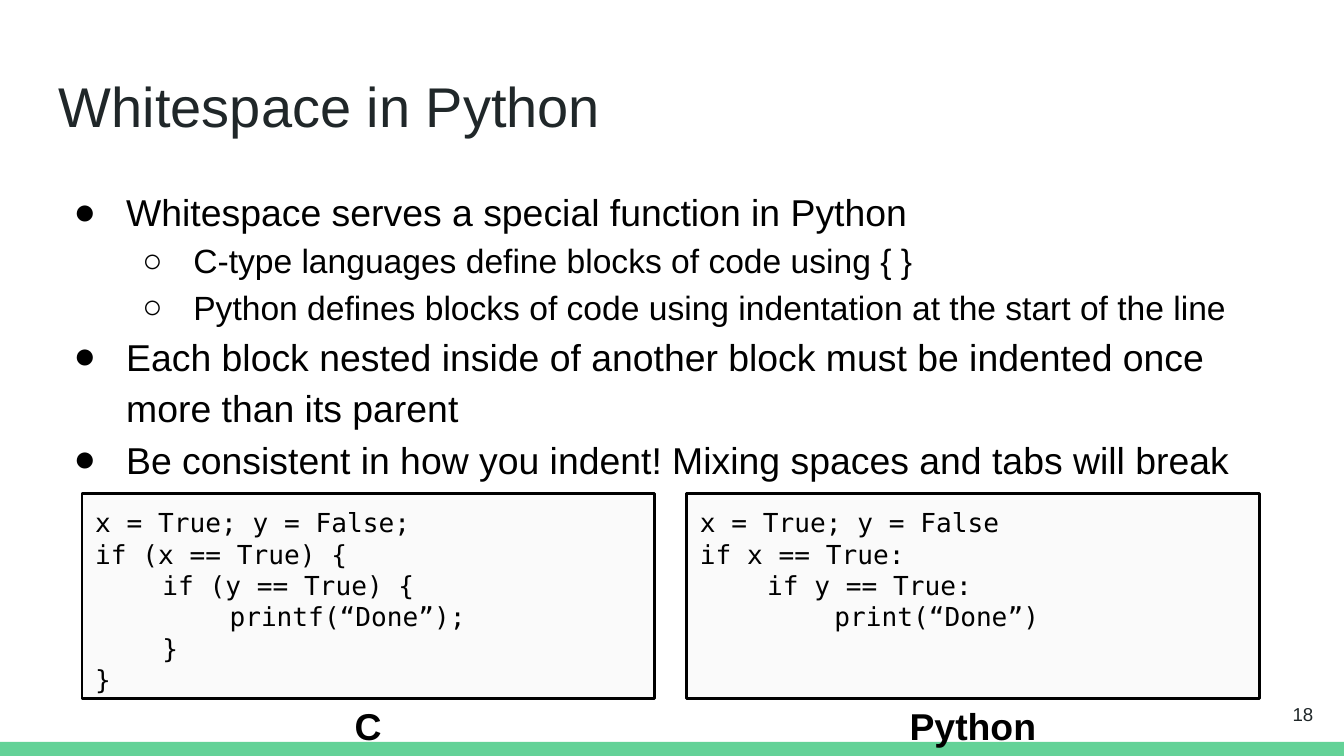
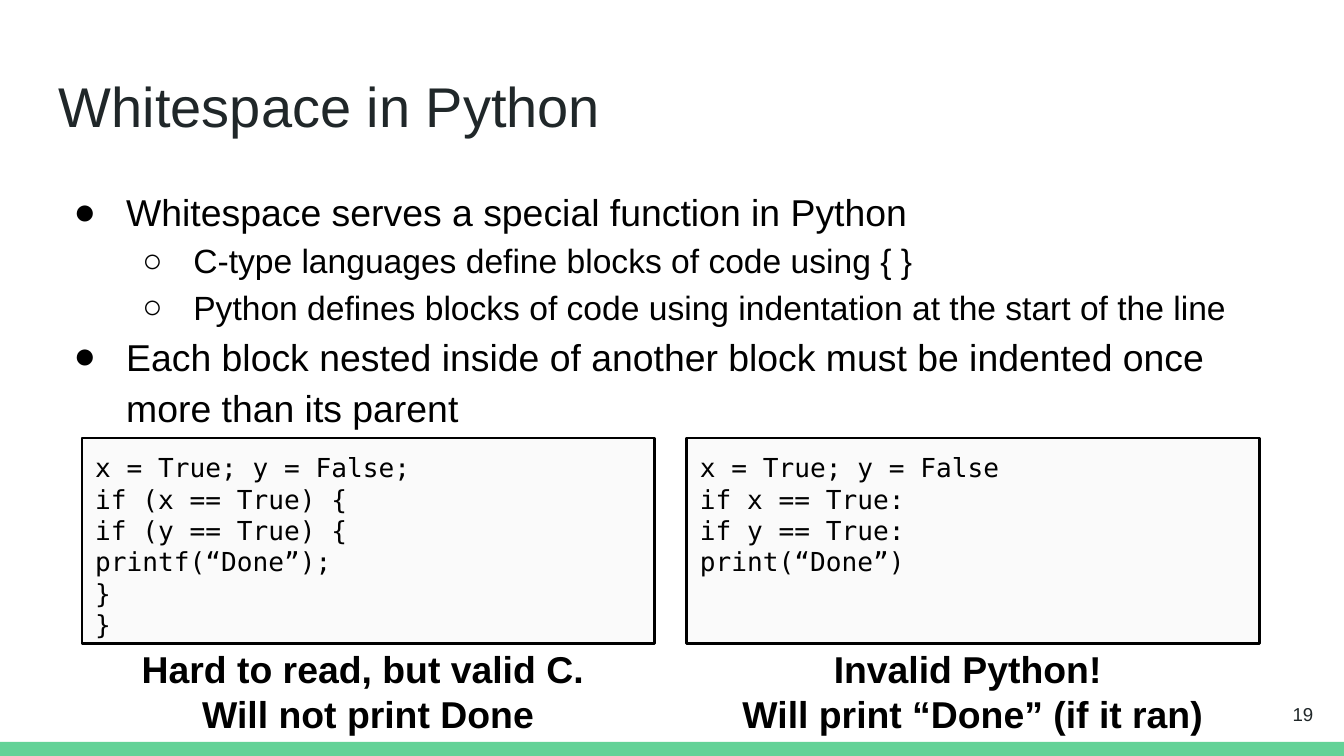
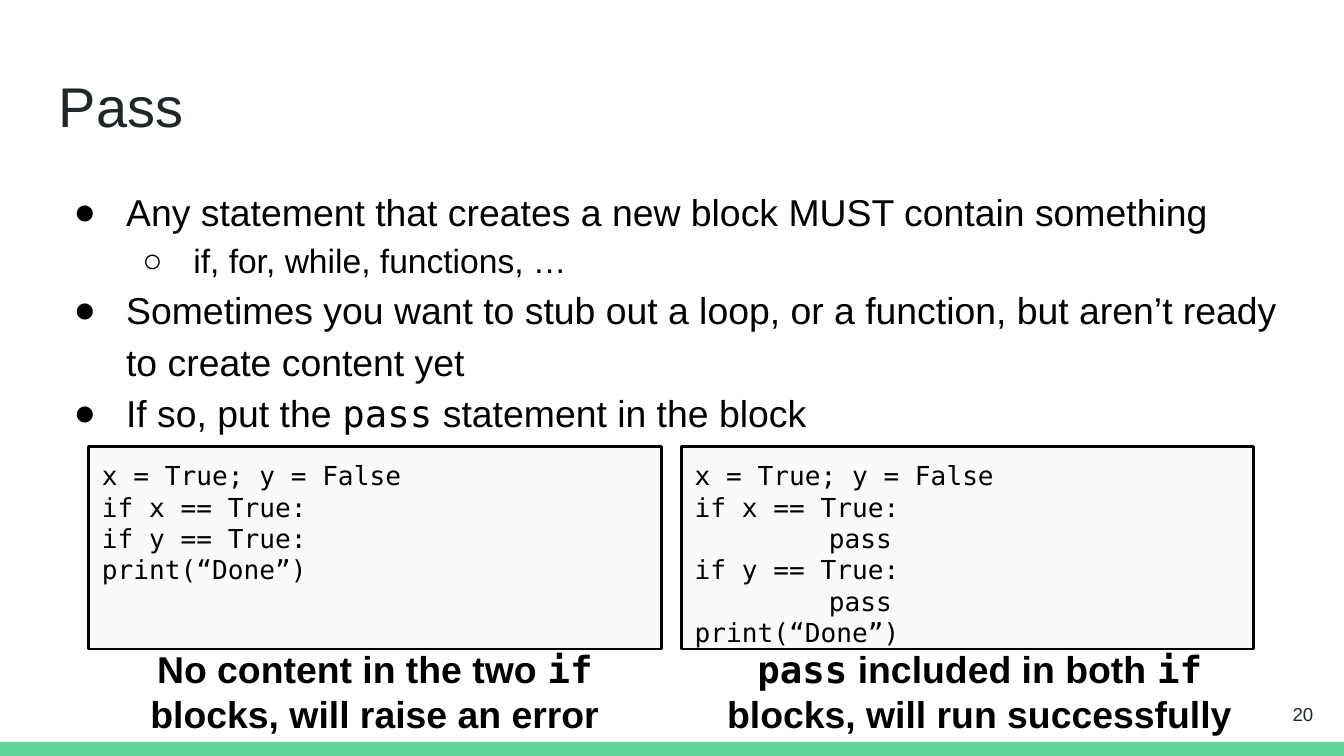
from lxml import etree
from pptx import Presentation
from pptx import util as u
from pptx.dml import color
from pptx.enum import shapes, text
from pptx.oxml import ns

SANS, MONO = "Arial", "DejaVu Sans Mono"
BLACK, TITLE_INK, GREEN, PANEL = "000000", "202729", "63D297", "FAFAFA"
LEFT, CENTER, RIGHT = text.PP_ALIGN.LEFT, text.PP_ALIGN.CENTER, text.PP_ALIGN.RIGHT
PANEL_WIDTH = 4.26


def add_box(page, left, top, width, height, fill=None, line=None):
    """Add a text box, or a rectangle when a fill is given, with even margins."""
    place = [u.Inches(length) for length in (left, top, width, height)]
    if fill:
        box = page.shapes.add_shape(shapes.MSO_SHAPE.RECTANGLE, *place)
        box.shadow.inherit = False
        box.fill.solid()
        box.fill.fore_color.rgb = color.RGBColor.from_string(fill)
        if line:
            box.line.color.rgb = color.RGBColor.from_string(line)
            box.line.width = u.Pt(1.5)
        else:
            box.line.fill.background()
    else:
        box = page.shapes.add_textbox(*place)
    frame = box.text_frame
    frame.word_wrap = True
    frame.vertical_anchor = text.MSO_ANCHOR.TOP
    frame.margin_left = frame.margin_right = u.Inches(0.1)
    frame.margin_top = frame.margin_bottom = u.Inches(0.1)
    return frame


def write(para, words, size, ink=BLACK, font=SANS, bold=False, align=LEFT):
    """Fill a paragraph; words between backticks are set in the code font."""
    para.alignment = align
    for index, piece in enumerate(words.split("`")):
        for number, line in enumerate(piece.split("\n")):
            if number:
                para.add_line_break()
            if line:
                span = para.add_run()
                span.text = line
                span.font.name = MONO if index % 2 else font
                span.font.size = u.Pt(size)
                span.font.bold = bold
                span.font.color.rgb = color.RGBColor.from_string(ink)


# Content: bullets are (level, text); panels are (left, code, label left, label)
whitespace_points = [
    (0, "Whitespace serves a special function in Python"),
    (1, "C-type languages define blocks of code using { }"),
    (1, "Python defines blocks of code using indentation at the start of the line"),
    (0, "Each block nested inside of another block must be indented once more than its parent"),
]
c_code = """x = True; y = False;
if (x == True) {
    if (y == True) {
        printf(“Done”);
    }
}"""
python_code = """x = True; y = False
if x == True:
    if y == True:
        print(“Done”)"""
pass_code = """x = True; y = False
if x == True:
        pass
if y == True:
        pass
print(“Done”)"""
flat_c = c_code.replace("    ", "")
flat_python = python_code.replace("    ", "")

slides = [
    dict(
        title="Whitespace in Python",
        points=whitespace_points
        + [(0, "Be consistent in how you indent! Mixing spaces and tabs will break")],
        panel_top=3.67, panel_height=1.53, label_top=5.13,
        panels=[(0.61, c_code, 0.61, "C"), (5.11, python_code, 5.11, "Python")],
    ),
    dict(
        title="Whitespace in Python",
        points=whitespace_points,
        panel_top=3.26, panel_height=1.53, label_top=4.71,
        panels=[
            (0.61, flat_c, 0.61, "Hard to read, but valid C. \nWill not print Done"),
            (5.11, flat_python, 5.11, "Invalid Python! \nWill print “Done” (if it ran)"),
        ],
    ),
    dict(
        title="Pass",
        points=[
            (0, "Any statement that creates a new block MUST contain something"),
            (1, "if, for, while, functions, …"),
            (0, "Sometimes you want to stub out a loop, or a function, "
                "but aren’t ready to create content yet"),
            (0, "If so, put the `pass` statement in the block"),
        ],
        panel_top=3.32, panel_height=1.51, label_top=4.71,
        panels=[
            (0.66, flat_python, 0.66, "No content in the two `if` blocks, will raise an error"),
            (5.07, pass_code, 5.16, "`pass` included in both `if` blocks, will run successfully"),
        ],
    ),
]

# Bullet style by level: size, left margin, hanging indent, character
bullet_styles = [(20, 0.5, -0.39, "●"), (18, 1, -0.38, "○")]

# Widescreen page, 16 to 9
deck = Presentation()
deck.slide_width = u.Inches(10)
deck.slide_height = u.Inches(10 * 9 / 16)

for page_number, content in enumerate(slides, start=18):
    page = deck.slides.add_slide(deck.slide_layouts[6])

    # Bottom band and title
    add_box(page, 0, 5.52, 10, 0.11, fill=GREEN)
    title = add_box(page, 0.34, 0.43, 9.32, 0.68)
    write(title.paragraphs[0], content["title"], 30, TITLE_INK)

    # Bullets
    body = add_box(page, 0.34, 1.26, 9.32, 3.74)
    for index, (level, words) in enumerate(content["points"]):
        para = body.add_paragraph() if index else body.paragraphs[0]
        size, margin, indent, mark = bullet_styles[level]
        write(para, words, size)
        para.level = level
        para.line_spacing = 1.15
        props = para._p.get_or_add_pPr()
        props.set("marL", str(u.Inches(margin)))
        props.set("indent", str(u.Inches(indent)))
        bullet_color = etree.SubElement(props, ns.qn("a:buClr"))
        etree.SubElement(bullet_color, ns.qn("a:srgbClr"), val=BLACK)
        etree.SubElement(props, ns.qn("a:buFont"), typeface=SANS)
        etree.SubElement(props, ns.qn("a:buChar"), char=mark)

    # Page number
    footer = add_box(page, 9.27, 5.1, 0.6, 0.43)
    footer.vertical_anchor = text.MSO_ANCHOR.MIDDLE
    write(footer.paragraphs[0], str(page_number), 10, TITLE_INK, align=RIGHT)

    # Code panels, each four spaces of code becoming half an inch of indent
    for left, code, label_left, label in content["panels"]:
        panel = add_box(page, left, content["panel_top"], PANEL_WIDTH,
                        content["panel_height"], PANEL, BLACK)
        for index, line in enumerate(code.split("\n")):
            para = panel.add_paragraph() if index else panel.paragraphs[0]
            words = line.lstrip()
            write(para, words, 14, font=MONO)
            depth = (len(line) - len(words)) // 4
            if depth:
                props = para._p.get_or_add_pPr()
                props.set("marL", str(u.Inches(0.5 * (depth - 1))))
                props.set("indent", str(u.Inches(0.5)))

    # Labels under the panels
    for left, code, label_left, label in content["panels"]:
        caption = add_box(page, label_left, content["label_top"], PANEL_WIDTH, 0.7)
        write(caption.paragraphs[0], label, 20, bold=True, align=CENTER)

deck.save("out.pptx")
